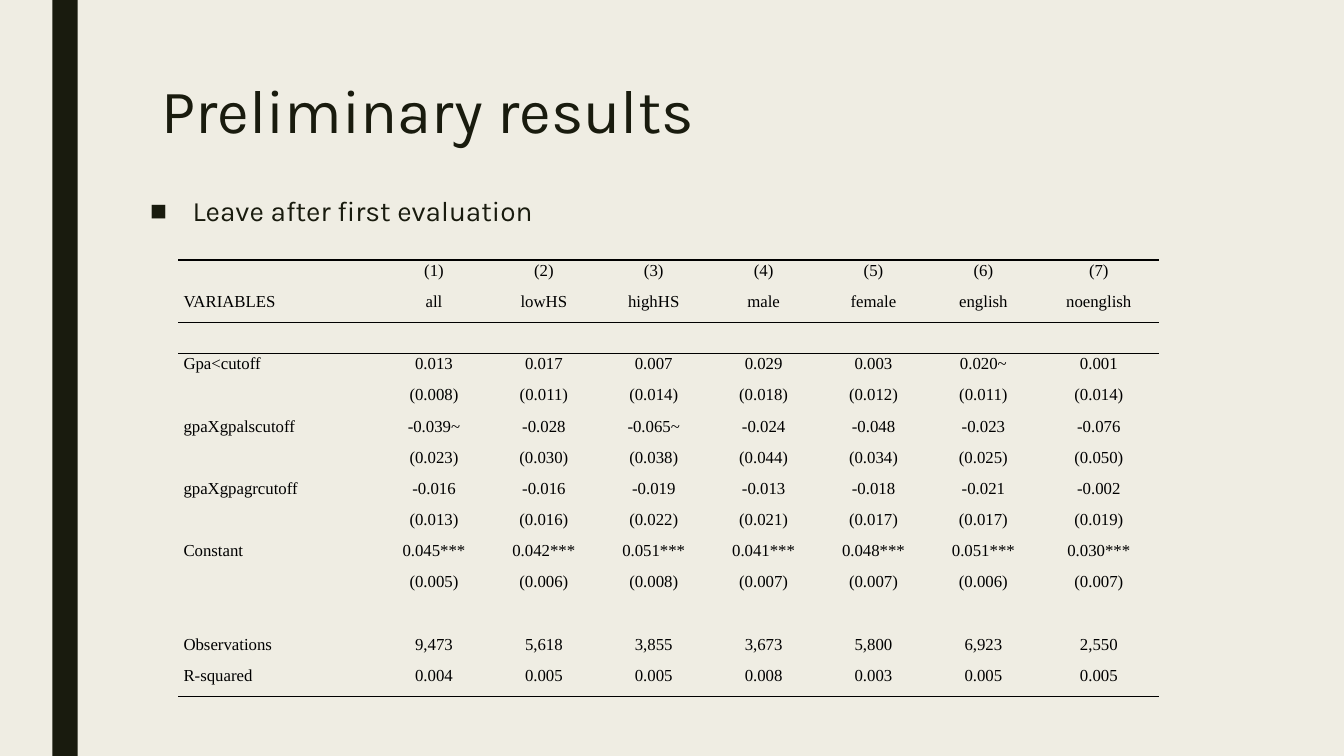
from dataclasses import dataclass

from lxml import etree
from pptx import Presentation
from pptx.dml.color import RGBColor
from pptx.enum.shapes import MSO_SHAPE
from pptx.enum.text import MSO_ANCHOR, MSO_AUTO_SIZE, PP_ALIGN
from pptx.oxml.ns import qn
from pptx.util import Inches, Pt

RECTANGLE = MSO_SHAPE.RECTANGLE
TOP = MSO_ANCHOR.TOP
NO_AUTOFIT = MSO_AUTO_SIZE.NONE
LEFT, CENTER = PP_ALIGN.LEFT, PP_ALIGN.CENTER
NO_STYLE_NO_GRID = "{2D5ABB26-0587-4C30-8999-92F81FD0307C}"


@dataclass(frozen=True)
class TextStyle:
    font: str
    size: int
    color: str
    line_spacing: float


@dataclass(frozen=True)
class Theme:
    background: str = "EFEDE3"
    bar: str = "191B0E"
    rule: str = "000000"
    rule_width: int = 1
    title: TextStyle = TextStyle("Karla", 44, "191B0E", 0.89)
    body: TextStyle = TextStyle("Karla", 20, "191B0E", 0.94)
    table: TextStyle = TextStyle("Times New Roman", 12, "000000", 1.07)


@dataclass(frozen=True)
class Box:
    left: float
    top: float
    width: float
    height: float


@dataclass(frozen=True)
class ResultRow:
    label: str = ""
    values: str = ""
    rule_above: bool = False
    rule_below: bool = False


THEME = Theme()
BAR_BOX = Box(0.52, 0, 0.25, 7.5)
TITLE_BOX = Box(1.5, 0.75, 10.5, 1.62)
BODY_BOX = Box(1.39, 1.9, 10.5, 3.92)
TABLE_BOX = Box(1.77, 2.58, 9.73, 4.33)
COLUMN_WIDTHS = [1.99] + [1.09] * 6 + [1.2]

RESULTS = [
    ResultRow("", "(1) (2) (3) (4) (5) (6) (7)", rule_above=True),
    ResultRow("VARIABLES", "all lowHS highHS male female english noenglish", rule_below=True),
    ResultRow(rule_above=True),
    ResultRow("Gpa<cutoff", "0.013 0.017 0.007 0.029 0.003 0.020~ 0.001"),
    ResultRow("", "(0.008) (0.011) (0.014) (0.018) (0.012) (0.011) (0.014)"),
    ResultRow("gpaXgpalscutoff", "-0.039~ -0.028 -0.065~ -0.024 -0.048 -0.023 -0.076"),
    ResultRow("", "(0.023) (0.030) (0.038) (0.044) (0.034) (0.025) (0.050)"),
    ResultRow("gpaXgpagrcutoff", "-0.016 -0.016 -0.019 -0.013 -0.018 -0.021 -0.002"),
    ResultRow("", "(0.013) (0.016) (0.022) (0.021) (0.017) (0.017) (0.019)"),
    ResultRow("Constant", "0.045*** 0.042*** 0.051*** 0.041*** 0.048*** 0.051*** 0.030***"),
    ResultRow("", "(0.005) (0.006) (0.008) (0.007) (0.007) (0.006) (0.007)"),
    ResultRow(),
    ResultRow("Observations", "9,473 5,618 3,855 3,673 5,800 6,923 2,550"),
    ResultRow("R-squared", "0.004 0.005 0.005 0.008 0.003 0.005 0.005", rule_below=True),
]


def place(box: Box) -> tuple:
    return tuple(Inches(length) for length in (box.left, box.top, box.width, box.height))


def write(paragraph, text: str, style: TextStyle, alignment=LEFT) -> None:
    paragraph.text = text
    paragraph.alignment = alignment
    paragraph.line_spacing = style.line_spacing
    for run in paragraph.runs:
        run.font.name = style.font
        run.font.size = Pt(style.size)
        run.font.color.rgb = RGBColor.from_string(style.color)


def fill_placeholder(placeholder, box: Box, text: str, style: TextStyle):
    placeholder.left, placeholder.top, placeholder.width, placeholder.height = place(box)
    frame = placeholder.text_frame
    frame.word_wrap = True
    frame.auto_size = NO_AUTOFIT
    frame.vertical_anchor = TOP
    write(frame.paragraphs[0], text, style)
    return frame.paragraphs[0]


def add_square_bullet(paragraph, indent: float) -> None:
    properties = paragraph._p.get_or_add_pPr()
    properties.set("marL", str(Inches(indent)))
    properties.set("indent", str(-Inches(indent)))
    etree.SubElement(properties, qn("a:buFont"), typeface="Arial")
    etree.SubElement(properties, qn("a:buChar"), char="■")


def add_rule(cell, side: str) -> None:
    line = etree.SubElement(cell._tc.get_or_add_tcPr(), qn(side), w=str(Pt(THEME.rule_width)))
    fill = etree.SubElement(line, qn("a:solidFill"))
    etree.SubElement(fill, qn("a:srgbClr"), val=THEME.rule)


def fill_cell(cell, text: str, alignment, row: ResultRow) -> None:
    cell.margin_left = cell.margin_right = Inches(0.05)
    cell.margin_top = cell.margin_bottom = 0
    cell.vertical_anchor = TOP
    paragraph = cell.text_frame.paragraphs[0]
    write(paragraph, text, THEME.table, alignment)
    if not text:
        # Keeps empty cells from stretching their row
        etree.SubElement(paragraph._p, qn("a:endParaRPr"), sz=str(THEME.table.size * 100))
    if row.rule_above:
        add_rule(cell, "a:lnT")
    if row.rule_below:
        add_rule(cell, "a:lnB")
    cell.fill.background()


def add_results_table(slide) -> None:
    frame = slide.shapes.add_table(len(RESULTS), len(COLUMN_WIDTHS), *place(TABLE_BOX))
    table = frame.table
    table.first_row = table.horz_banding = False
    table._tbl.tblPr.find(qn("a:tableStyleId")).text = NO_STYLE_NO_GRID
    for column, width in zip(table.columns, COLUMN_WIDTHS):
        column.width = Inches(width)
    for table_row, row in zip(table.rows, RESULTS):
        table_row.height = Inches(TABLE_BOX.height / len(RESULTS))
        values = row.values.split() or [""] * (len(COLUMN_WIDTHS) - 1)
        for index, (cell, text) in enumerate(zip(table_row.cells, [row.label, *values])):
            fill_cell(cell, text, CENTER if index else LEFT, row)


presentation = Presentation()
presentation.slide_width = Inches(13.33)
presentation.slide_height = Inches(7.5)
slide = presentation.slides.add_slide(presentation.slide_layouts[1])

# Background and side bar
slide.background.fill.solid()
slide.background.fill.fore_color.rgb = RGBColor.from_string(THEME.background)
bar = slide.shapes.add_shape(RECTANGLE, *place(BAR_BOX))
bar.shadow.inherit = False
bar.fill.solid()
bar.fill.fore_color.rgb = RGBColor.from_string(THEME.bar)
bar.line.fill.background()

# Title and list
fill_placeholder(slide.shapes.title, TITLE_BOX, "Preliminary results", THEME.title)
item = fill_placeholder(slide.placeholders[1], BODY_BOX, "Leave after first evaluation", THEME.body)
item.space_before, item.space_after = Pt(10), Pt(2)
add_square_bullet(item, 0.42)

# Regression results
add_results_table(slide)

presentation.save("out.pptx")
